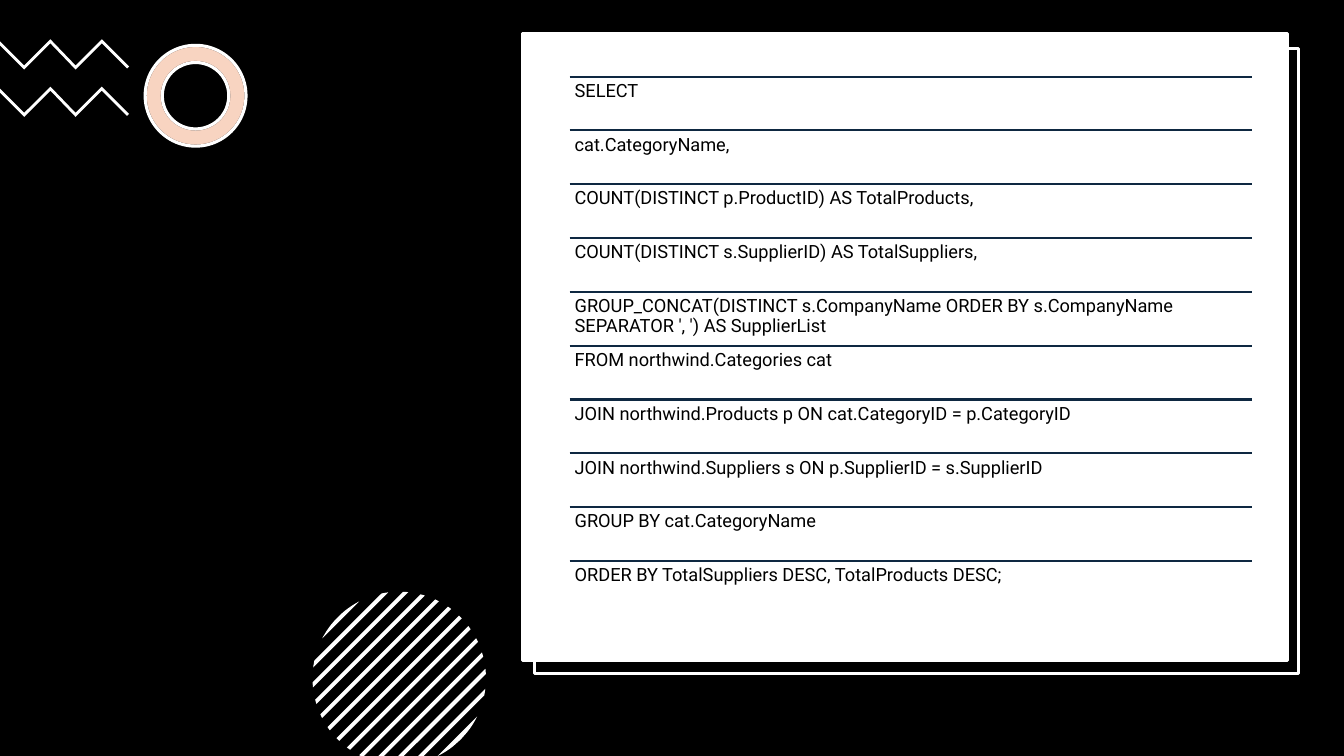
from math import sqrt

from pptx import Presentation
from pptx.dml.color import RGBColor
from pptx.enum.shapes import MSO_CONNECTOR as Connector, MSO_SHAPE as Shape
from pptx.enum.text import MSO_ANCHOR as Anchor, PP_ALIGN as Align
from pptx.oxml.ns import qn
from pptx.util import Emu, Pt
from lxml.etree import SubElement

EMU_PER_PX = 9144  # 100 px to the inch
PAGE_WIDTH, PAGE_HEIGHT = 1333, 750
BLACK, WHITE, NAVY, ORANGE = "000000", "FFFFFF", "0E2841", "E97132"

QUERY_LINES = [
    "SELECT",
    "cat.CategoryName,",
    "COUNT(DISTINCT p.ProductID) AS TotalProducts,",
    "COUNT(DISTINCT s.SupplierID) AS TotalSuppliers,",
    "GROUP_CONCAT(DISTINCT s.CompanyName ORDER BY s.CompanyName SEPARATOR ', ') AS SupplierList",
    "FROM northwind.Categories cat",
    "JOIN northwind.Products p ON cat.CategoryID = p.CategoryID",
    "JOIN northwind.Suppliers s ON p.SupplierID = s.SupplierID",
    "GROUP BY cat.CategoryName",
    "ORDER BY TotalSuppliers DESC, TotalProducts DESC;",
]


def px(length):
    return Emu(round(length * EMU_PER_PX))


def color(hex_string):
    return RGBColor.from_string(hex_string)


def paint(shape, fill, line=None, alpha=None):
    shape.shadow.inherit = False
    shape.fill.solid()
    shape.fill.fore_color.rgb = color(fill)
    if alpha is not None:
        solid = shape.fill._xPr.find(qn("a:solidFill"))
        SubElement(solid[0], qn("a:alpha")).set("val", str(alpha * 1000))
    if line:
        shape.line.color.rgb = color(line)
        shape.line.width = Pt(2.25)
    else:
        shape.line.fill.background()


def add_preset(page, kind, left, top, width, height, fill, line=None, alpha=None):
    shape = page.shapes.add_shape(kind, px(left), px(top), px(width), px(height))
    paint(shape, fill, line, alpha)
    return shape


def add_outline(shapes, points):
    corners = [(px(x), px(y)) for x, y in points]
    builder = shapes.build_freeform(*corners[0], scale=1.0)
    builder.add_line_segments(corners[1:], close=True)
    paint(builder.convert_to_shape(), WHITE)


def add_zigzag(page, top):
    upper = [(0, 2), (24, 26), (50, 0), (75, 26), (101, 0), (128, 27)]
    lower = [(126, 29), (101, 4), (75, 30), (50, 4), (24, 30), (0, 6)]
    add_outline(page.shapes, [(x, top + y) for x, y in upper + lower])


def add_ring(page, fill, line, alpha=None):
    ring = add_preset(page, Shape.DONUT, 144, 45, 100, 100, fill, line, alpha)
    ring.adjustments[0] = 0.17


def chord_ends(total, center_x, center_y, radius):
    """Ends of the chord x + y = total, cut off at the foot of the page."""
    shift = (total - center_x - center_y) / 2
    half = sqrt(max(radius ** 2 / 2 - shift ** 2, 0))
    x, y = center_x + shift, center_y + shift
    foot = min(y + half, PAGE_HEIGHT)
    return (x + half, y - half), (total - foot, foot)


def add_striped_disc(page, center_x, center_y, radius):
    group = page.shapes.add_group_shape()
    middle, reach = center_x + center_y, radius * sqrt(2)
    stripes, pitch, thickness, samples = 13, 19.75, 5.5, 8
    first_end = 953
    for stripe in range(stripes):
        end = min(first_end + stripe * pitch, middle + reach)
        start = max(end - thickness, middle - reach)
        if stripe == stripes - 1:
            start, end = 1184, middle + reach
        chords = [chord_ends(start + (end - start) * step / samples,
                             center_x, center_y, radius)
                  for step in range(samples + 1)]
        add_outline(group.shapes, [upper for upper, _ in chords]
                    + [lower for _, lower in reversed(chords)])


def add_rule(page, left, top, width):
    rule = page.shapes.add_connector(
        Connector.STRAIGHT, px(left), px(top), px(left + width), px(top))
    rule.line.color.rgb = color(NAVY)
    rule.line.width = Pt(1.5)
    SubElement(rule._element.spPr, qn("a:effectLst"))


def add_query_line(page, text, left, top, width, height):
    box = page.shapes.add_textbox(px(left), px(top), px(width), px(height))
    frame = box.text_frame
    frame.word_wrap = True
    frame.vertical_anchor = Anchor.TOP
    frame.margin_left = frame.margin_right = px(5)
    frame.margin_top = frame.margin_bottom = px(5)
    para = frame.paragraphs[0]
    para.alignment = Align.LEFT
    para.line_spacing = 0.9
    span = para.add_run()
    span.text = text
    span.font.name = "Roboto"
    span.font.size = Pt(13)
    span.font.color.rgb = color(BLACK)


def main():
    deck = Presentation()
    deck.slide_width, deck.slide_height = px(PAGE_WIDTH), px(PAGE_HEIGHT)
    page = deck.slides.add_slide(deck.slide_layouts[6])

    # Backdrop and ornaments
    add_preset(page, Shape.RECTANGLE, 0, 0, PAGE_WIDTH, PAGE_HEIGHT, BLACK)
    for top in (39, 86):
        add_zigzag(page, top)
    add_ring(page, WHITE, BLACK)
    add_ring(page, ORANGE, WHITE, alpha=30)
    add_striped_disc(page, 396, 673, 86)

    # Card with its offset frame
    add_preset(page, Shape.RECTANGLE, 530, 48, 758, 620, BLACK, WHITE)
    add_preset(page, Shape.RECTANGLE, 518, 33, 759, 622, WHITE, WHITE)

    # Query, one ruled row for each line
    left, top, width, span_height = 565, 76, 677, 534
    row_height = span_height / len(QUERY_LINES)
    for row, text in enumerate(QUERY_LINES):
        row_top = top + row * row_height
        add_rule(page, left, row_top, width)
        add_query_line(page, text, left, row_top, width, row_height)

    deck.save("out.pptx")


if __name__ == "__main__":
    main()
